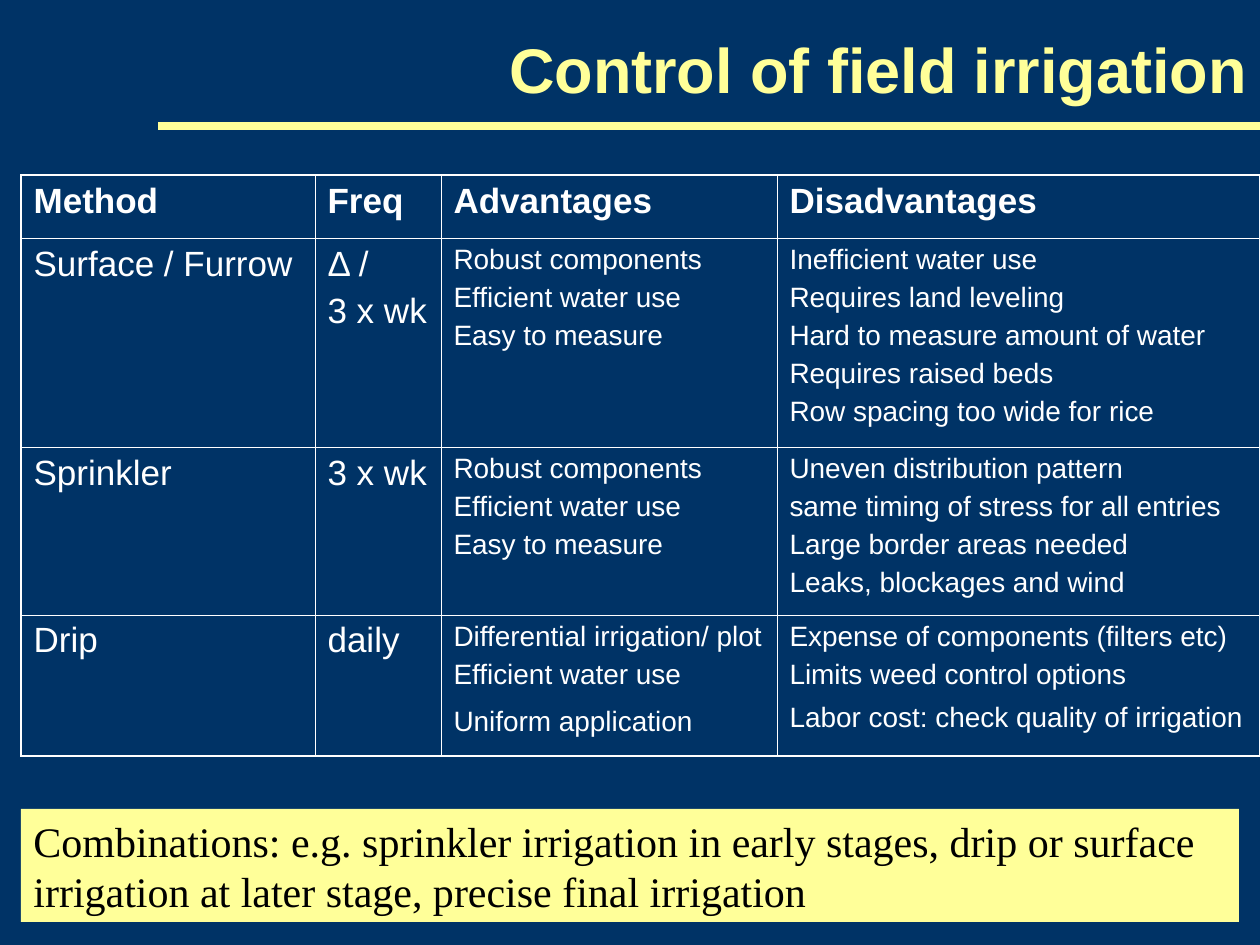
from dataclasses import dataclass

from lxml.etree import SubElement
from pptx import Presentation
from pptx.dml.color import RGBColor
from pptx.enum.shapes import MSO_CONNECTOR as Connector, MSO_SHAPE as Shape
from pptx.enum.text import MSO_ANCHOR as Anchor, MSO_AUTO_SIZE as AutoSize, PP_ALIGN as Align
from pptx.oxml import parse_xml
from pptx.oxml.ns import nsdecls, qn
from pptx.util import Emu, Pt

PX_PER_INCH = 126
SLIDE_WIDTH, SLIDE_HEIGHT = 1260, 945


def px(length):
    return Emu(round(length * 914400 / PX_PER_INCH))


@dataclass(frozen=True)
class Theme:
    background: str = "003366"
    accent: str = "FFFF99"
    text: str = "FFFFFF"
    note_text: str = "000000"
    sans: str = "Arial"
    serif: str = "Times New Roman"
    title_size: int = 36
    note_size: int = 24
    entry_size: int = 20
    detail_size: int = 16
    rule_width: float = 4.5
    outer_border: float = 1.08
    inner_border: float = 0.45


class SlideBuilder:
    def __init__(self, slide, theme):
        self.slide = slide
        self.theme = theme
        fill = slide.background.fill
        fill.solid()
        fill.fore_color.rgb = RGBColor.from_string(theme.background)

    def add_lines(self, frame, lines, size, color, font, bold=False, align=Align.LEFT, gaps=()):
        """Add one paragraph per line; gaps holds the space before each one after the first."""
        font_format = {"size": Pt(size), "name": font, "bold": bold}
        for index, line in enumerate(lines):
            paragraph = frame.add_paragraph() if index else frame.paragraphs[0]
            paragraph.alignment = align
            if index:
                paragraph.space_before = Pt(gaps[index - 1])
            run = paragraph.add_run()
            run.text = line
            for name, value in font_format.items():
                setattr(run.font, name, value)
            run.font.color.rgb = RGBColor.from_string(color)

    def title(self, text, left, top, width, height):
        frame = self.slide.shapes.add_textbox(*map(px, (left, top, width, height))).text_frame
        frame.word_wrap = True
        frame.vertical_anchor = Anchor.MIDDLE
        theme = self.theme
        self.add_lines(frame, [text], theme.title_size, theme.accent, theme.sans,
                       bold=True, align=Align.RIGHT)

    def rule(self, x1, y1, x2, y2):
        line = self.slide.shapes.add_connector(Connector.STRAIGHT, *map(px, (x1, y1, x2, y2)))
        line.line.color.rgb = RGBColor.from_string(self.theme.accent)
        line.line.width = Pt(self.theme.rule_width)
        SubElement(line._element.spPr, qn("a:effectLst"))

    def note(self, text, left, top, width, height):
        box = self.slide.shapes.add_shape(Shape.RECTANGLE, *map(px, (left, top, width, height)))
        box.shadow.inherit = False
        box.fill.solid()
        box.fill.fore_color.rgb = RGBColor.from_string(self.theme.accent)
        box.line.fill.background()
        frame_format = {"word_wrap": True, "vertical_anchor": Anchor.TOP,
                        "auto_size": AutoSize.SHAPE_TO_FIT_TEXT}
        for name, value in frame_format.items():
            setattr(box.text_frame, name, value)
        theme = self.theme
        self.add_lines(box.text_frame, [text], theme.note_size, theme.note_text, theme.serif)

    def table(self, left, top, widths, heights, rows, wide_gaps):
        """Draw a grid with a bold first row and smaller text from the third column on."""
        theme = self.theme
        row_count, column_count = len(heights), len(widths)
        table = self.slide.shapes.add_table(
            row_count, column_count,
            *map(px, (left, top, sum(widths), sum(heights)))).table
        table.first_row = table.horz_banding = False
        for column, width in zip(table.columns, widths):
            column.width = px(width)
        for row, height in zip(table.rows, heights):
            row.height = px(height)
        for r, row in enumerate(rows):
            for c, lines in enumerate(row):
                cell = table.cell(r, c)
                cell.fill.background()
                is_detail = r > 0 and c > 1
                size = theme.detail_size if is_detail else theme.entry_size
                gaps = [wide_gaps.get(line, size / 4) for line in lines[1:]]
                self.add_lines(cell.text_frame, lines, size, theme.text, theme.sans,
                               bold=r == 0, gaps=gaps)
                self.cell_borders(cell, {"L": c == 0, "R": c == column_count - 1,
                                         "T": r == 0, "B": r == row_count - 1})

    def cell_borders(self, cell, outer_sides):
        properties = cell._tc.get_or_add_tcPr()
        for index, (side, is_outer) in enumerate(outer_sides.items()):
            width = Pt(self.theme.outer_border if is_outer else self.theme.inner_border)
            properties.insert(index, parse_xml(
                f'<a:ln{side} {nsdecls("a")} w="{width}"><a:solidFill>'
                f'<a:srgbClr val="{self.theme.text}"/></a:solidFill></a:ln{side}>'))


ROBUST_ADVANTAGES = ["Robust components", "Efficient water use", "Easy to measure"]
METHOD_ROWS = [
    [["Method"], ["Freq"], ["Advantages"], ["Disadvantages"]],
    [["Surface / Furrow"], ["Δ /", "3 x wk"], ROBUST_ADVANTAGES,
     ["Inefficient water use", "Requires land leveling", "Hard to measure amount of water",
      "Requires raised beds", "Row spacing too wide for rice"]],
    [["Sprinkler"], ["3 x wk"], ROBUST_ADVANTAGES,
     ["Uneven distribution pattern", "same timing of stress for all entries",
      "Large border areas needed", "Leaks, blockages and wind"]],
    [["Drip"], ["daily"],
     ["Differential irrigation/ plot", "Efficient water use", "Uniform application"],
     ["Expense of components (filters etc)", "Limits weed control options",
      "Labor cost: check quality of irrigation"]],
]
WIDE_GAPS = {"Uniform application": 9, "Labor cost: check quality of irrigation": 6.5}


def main():
    presentation = Presentation()
    presentation.slide_width, presentation.slide_height = px(SLIDE_WIDTH), px(SLIDE_HEIGHT)
    slide = presentation.slides.add_slide(presentation.slide_layouts[6])
    builder = SlideBuilder(slide, Theme())
    builder.title("Control of field irrigation", 189, -10, 1071, 157)
    builder.note("Combinations: e.g. sprinkler irrigation in early stages, drip or surface "
                 "irrigation at later stage, precise final irrigation", 21, 809, 1218, 113)
    builder.table(21, 175, widths=[294, 126, 336, 483], heights=[63, 209, 168, 141],
                  rows=METHOD_ROWS, wide_gaps=WIDE_GAPS)
    builder.rule(SLIDE_WIDTH, 126, 158, 126)
    presentation.save("out.pptx")


if __name__ == "__main__":
    main()
